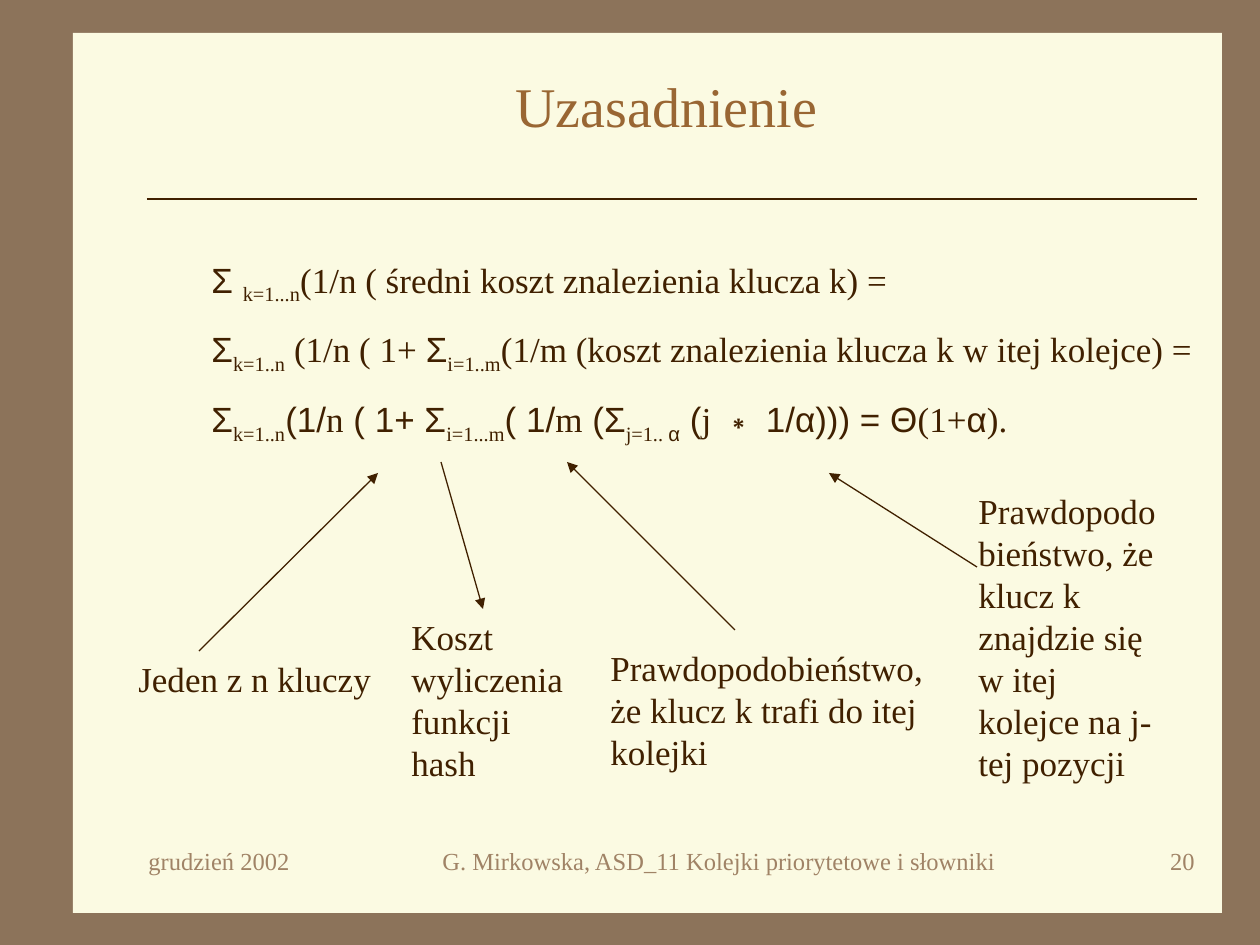
from pptx import Presentation
from pptx.dml.color import RGBColor
from pptx.enum.shapes import MSO_CONNECTOR, MSO_SHAPE
from pptx.enum.text import MSO_ANCHOR, PP_ALIGN
from pptx.oxml.ns import qn
from pptx.util import Emu, Pt
from lxml.etree import SubElement

BROWN = RGBColor(0x8C, 0x73, 0x5A)
CREAM = RGBColor(0xFB, 0xFA, 0xE2)
DARK = RGBColor(0x40, 0x20, 0x00)
RUST = RGBColor(0x99, 0x66, 0x33)
TAN = RGBColor(0xA0, 0x83, 0x66)
SERIF, SANS = "Times New Roman", "Arial"
SCALE = 914400 / 126

# Run styles: font and baseline shift in thousandths of a percent
TIMES, ARIAL = (SERIF, 0), (SANS, 0)
SUB, SUB_ARIAL = (SERIF, -25000), (SANS, -25000)

FORMULA = [
    [("Σ ", ARIAL), ("k=1...n", SUB),
     ("(1/n ( średni koszt znalezienia klucza k) =", TIMES)],
    [("Σ", ARIAL), ("k=1..n", SUB), (" (1/n ( 1+ ", TIMES),
     ("Σ", ARIAL), ("i=1..m", SUB),
     ("(1/m (koszt znalezienia klucza k w itej kolejce) =", TIMES)],
    [("Σ", ARIAL), ("k=1..n", SUB), ("(1/", ARIAL), ("n", TIMES),
     (" ( 1+ Σ", ARIAL), ("i=1...m", SUB), ("( 1/", ARIAL), ("m", TIMES),
     (" (Σ", ARIAL), ("j=1.. ", SUB), ("α", SUB_ARIAL), (" (", ARIAL),
     ("j", TIMES), (" ∗ 1/α))) = Θ", ARIAL), ("(1+", TIMES),
     ("α", ARIAL), (").", TIMES)],
]

# Text, then its left, top, width and height within the notes region
NOTES = [
    ("Jeden z n kluczy", 0, 189, 262, 55),
    ("Koszt wyliczenia funkcji hash", 273, 147, 189, 181),
    ("Prawdopodobieństwo, że klucz k trafi do itej kolejki", 472, 178, 368, 139),
    ("Prawdopodobieństwo, że klucz k znajdzie się w itej kolejce na j-tej pozycji",
     840, 21, 210, 307),
]
# Start and end points within the notes region
ARROWS = [
    (73, 189, 252, 11),
    (315, 0, 357, 147),
    (609, 168, 441, 0),
    (851, 105, 703, 11),
]


def px(*sizes):
    return [Emu(round(size * SCALE)) for size in sizes]


def write(frame, lines, size=20, color=DARK, align=PP_ALIGN.LEFT,
          gap=12.5, anchor=MSO_ANCHOR.TOP):
    """Fill a text frame; each line is a string or a list of styled runs."""
    frame.word_wrap = True
    frame.vertical_anchor = anchor
    for n, line in enumerate(lines):
        para = frame.add_paragraph() if n else frame.paragraphs[0]
        para.alignment = align
        para.space_before = Pt(gap if n else 0)
        runs = [(line, TIMES)] if isinstance(line, str) else line
        for text, (face, shift) in runs:
            run = para.add_run()
            run.text = text
            run.font.name = face
            run.font.size = Pt(size)
            run.font.color.rgb = color
            if shift:
                run.font._element.set("baseline", str(shift))


def label(slide, box, lines, **style):
    write(slide.shapes.add_textbox(*px(*box)).text_frame, lines, **style)


def stroke(slide, ends, head=False):
    line = slide.shapes.add_connector(MSO_CONNECTOR.STRAIGHT, *px(*ends))
    line.line.color.rgb = DARK
    line.line.width = Pt(0.75)
    props = line._element.spPr
    if head:
        SubElement(props.find(qn("a:ln")), qn("a:tailEnd"), type="triangle")
    SubElement(props, qn("a:effectLst"))


def page(slide, box):
    slide.background.fill.solid()
    slide.background.fill.fore_color.rgb = BROWN
    sheet = slide.shapes.add_shape(MSO_SHAPE.RECTANGLE, *px(*box))
    sheet.shadow.inherit = False
    sheet.fill.solid()
    sheet.fill.fore_color.rgb = CREAM
    sheet.line.fill.background()
    # The sheet lies behind the title
    slide.shapes._spTree.insert(2, sheet._element)


def header(slide, box):
    x, y, w, h = box
    title = slide.shapes.title
    title.left, title.top, title.width, title.height = px(x, y, w, 84)
    write(title.text_frame, ["Uzasadnienie"], size=32, color=RUST,
          align=PP_ALIGN.CENTER, anchor=MSO_ANCHOR.MIDDLE)
    stroke(slide, (x + 11, y + h, x + w, y + h))


def notes(slide, box):
    x, y, _, _ = box
    for text, left, top, w, h in NOTES:
        label(slide, (x + left, y + top, w, h), [text])
    for x1, y1, x2, y2 in ARROWS:
        stroke(slide, (x + x1, y + y1, x + x2, y + y2), head=True)


def footer(slide, box):
    x, y, _, h = box
    parts = [
        ("grudzień 2002", 0, 262, PP_ALIGN.LEFT),
        ("G. Mirkowska, ASD_11 Kolejki priorytetowe i słowniki", 252, 662,
         PP_ALIGN.CENTER),
        ("20", 914, 157, PP_ALIGN.RIGHT),
    ]
    for text, left, w, align in parts:
        label(slide, (x + left, y, w, h), [text], size=14, color=TAN, align=align)


def main():
    deck = Presentation()
    deck.slide_width, deck.slide_height = px(1260, 945)
    slide = deck.slides.add_slide(deck.slide_layouts[5])
    page(slide, (73, 33, 1149, 880))
    header(slide, (136, 63, 1061, 136))
    label(slide, (199, 252, 1008, 263), FORMULA)
    notes(slide, (126, 462, 1050, 328))
    footer(slide, (136, 840, 1071, 63))
    deck.save("out.pptx")


if __name__ == "__main__":
    main()
